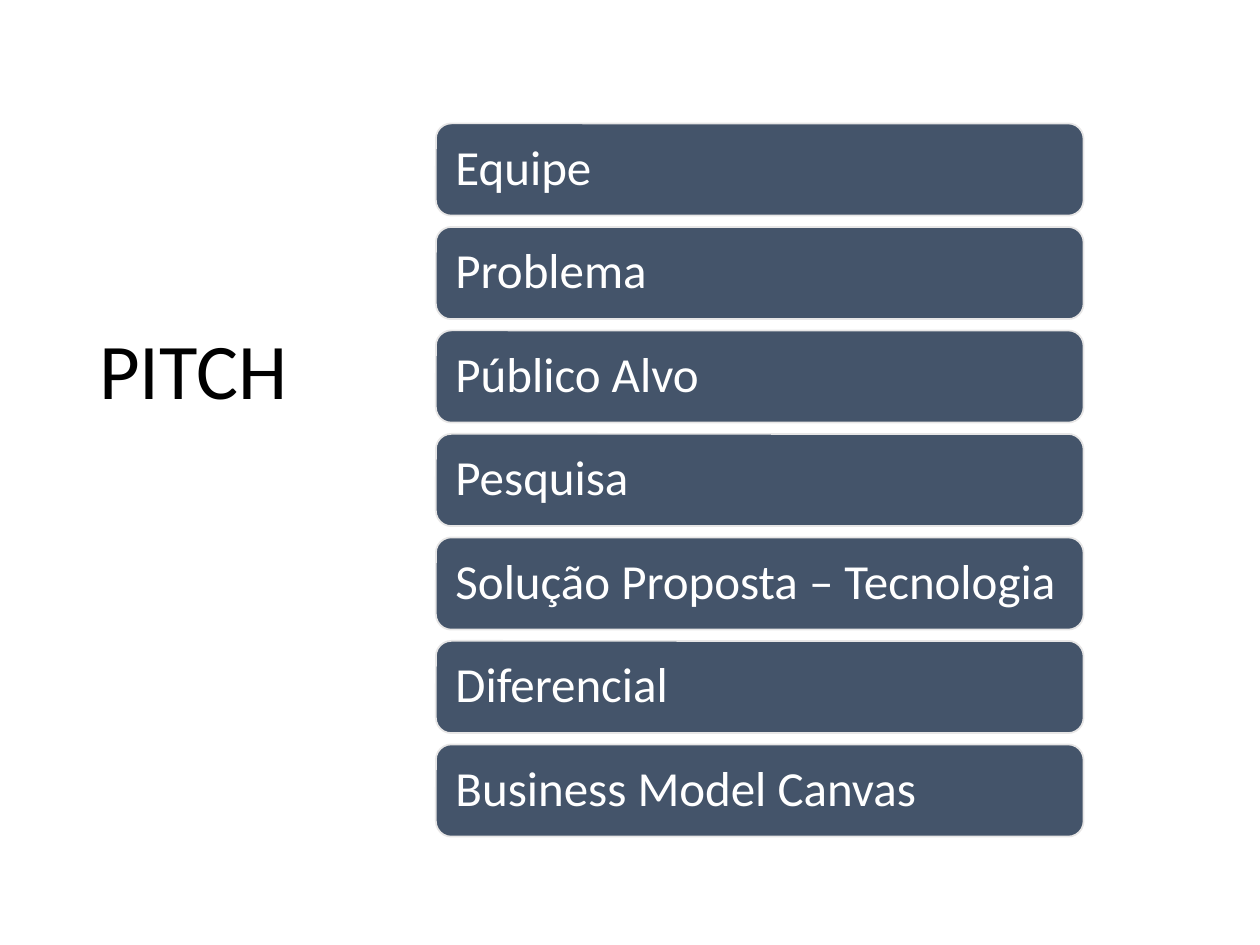
from pptx import Presentation
from pptx import util as u
from pptx.dml.color import RGBColor
from pptx.enum import shapes, text

SLATE = RGBColor(0x44, 0x54, 0x6A)
LIGHT_GRAY = RGBColor(0xE7, 0xE6, 0xE6)
WHITE = RGBColor(0xFF, 0xFF, 0xFF)
BLACK = RGBColor(0, 0, 0)

TOPICS = [
    "Equipe",
    "Problema",
    "Público Alvo",
    "Pesquisa",
    "Solução Proposta – Tecnologia",
    "Diferencial",
    "Business Model Canvas",
]


def write(shape, content, size, color):
    frame = shape.text_frame
    frame.text = content
    frame.word_wrap = True
    frame.vertical_anchor = text.MSO_ANCHOR.MIDDLE
    paragraph = frame.paragraphs[0]
    paragraph.alignment = text.PP_ALIGN.LEFT
    paragraph.line_spacing = 0.9
    font = paragraph.runs[0].font
    font.name = "Calibri"
    font.size = u.Pt(size)
    font.color.rgb = color
    return frame


presentation = Presentation()
presentation.slide_width = u.Inches(10)
presentation.slide_height = u.Inches(7.5)
slide = presentation.slides.add_slide(presentation.slide_layouts[6])

title = slide.shapes.add_textbox(u.Inches(0.69), u.Inches(0.61), u.Inches(2.77), u.Inches(6.09))
title_frame = write(title, "PITCH", 45, BLACK)
title_frame.margin_bottom = u.Inches(1.42)

LIST_LEFT, LIST_TOP, LIST_WIDTH, LIST_HEIGHT = 3.46, 0.98, 5.14, 5.66
GAP = 0.09
ROW_HEIGHT = (LIST_HEIGHT + GAP) / len(TOPICS) - GAP

for row, topic in enumerate(TOPICS):
    bar = slide.shapes.add_shape(
        shapes.MSO_SHAPE.ROUNDED_RECTANGLE,
        u.Inches(LIST_LEFT),
        u.Inches(LIST_TOP + row * (ROW_HEIGHT + GAP)),
        u.Inches(LIST_WIDTH),
        u.Inches(ROW_HEIGHT),
    )
    bar.shadow.inherit = False
    bar.fill.solid()
    bar.fill.fore_color.rgb = SLATE
    bar.line.color.rgb = LIGHT_GRAY
    bar.line.width = u.Pt(1)
    bar_frame = write(bar, topic, 28, WHITE)
    bar_frame.margin_left = bar_frame.margin_right = u.Inches(0.12)

presentation.save("out.pptx")
